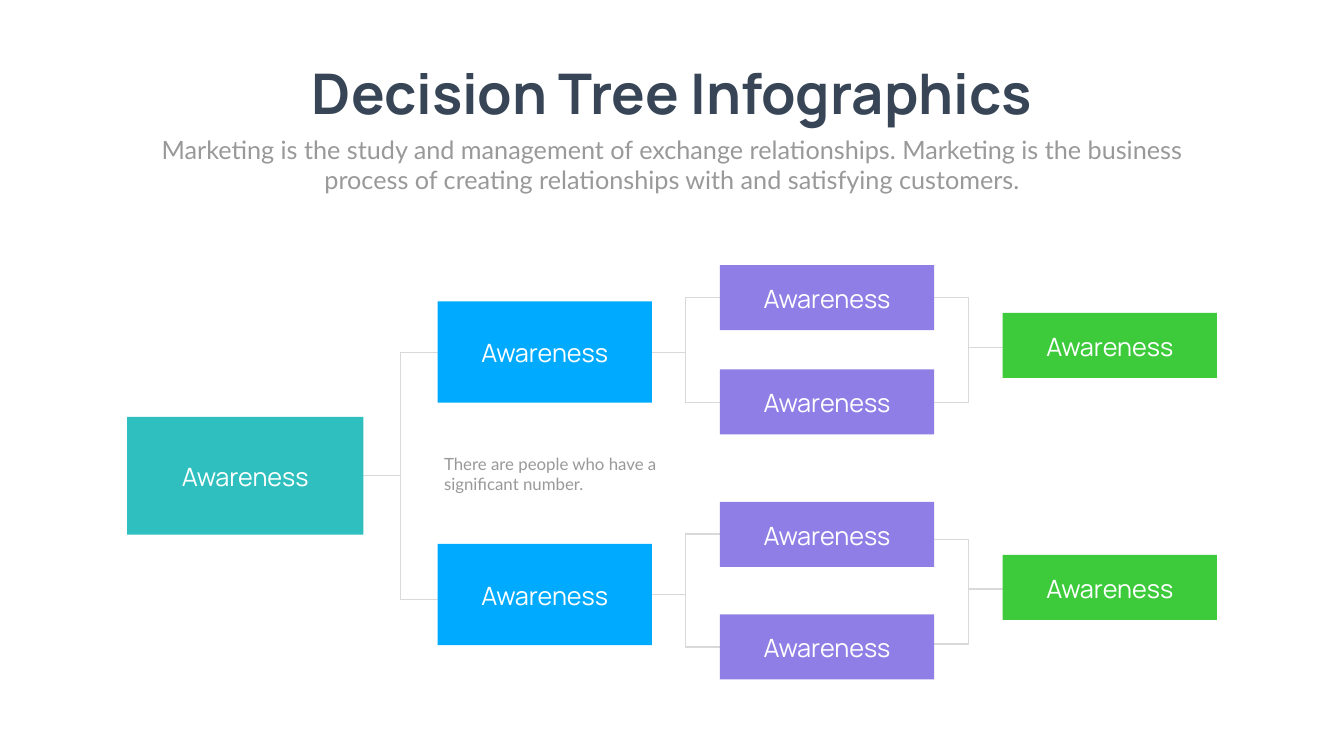
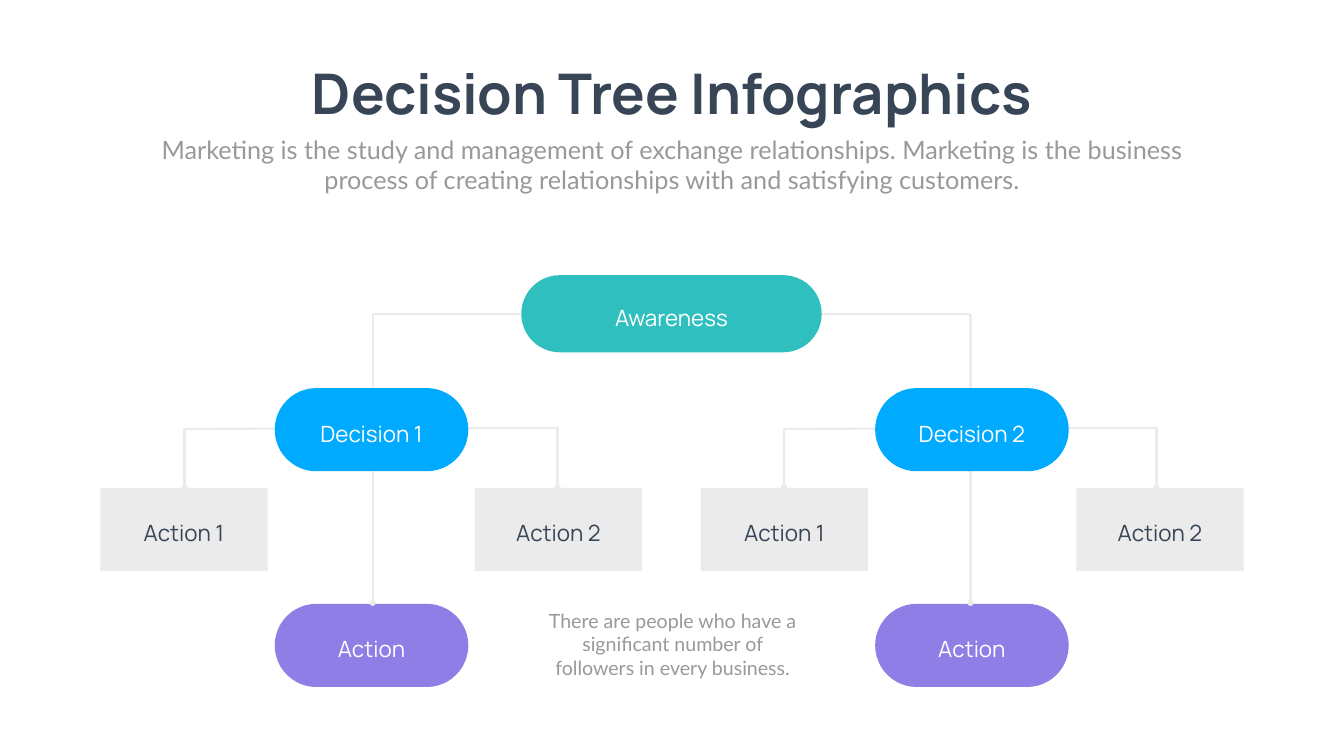
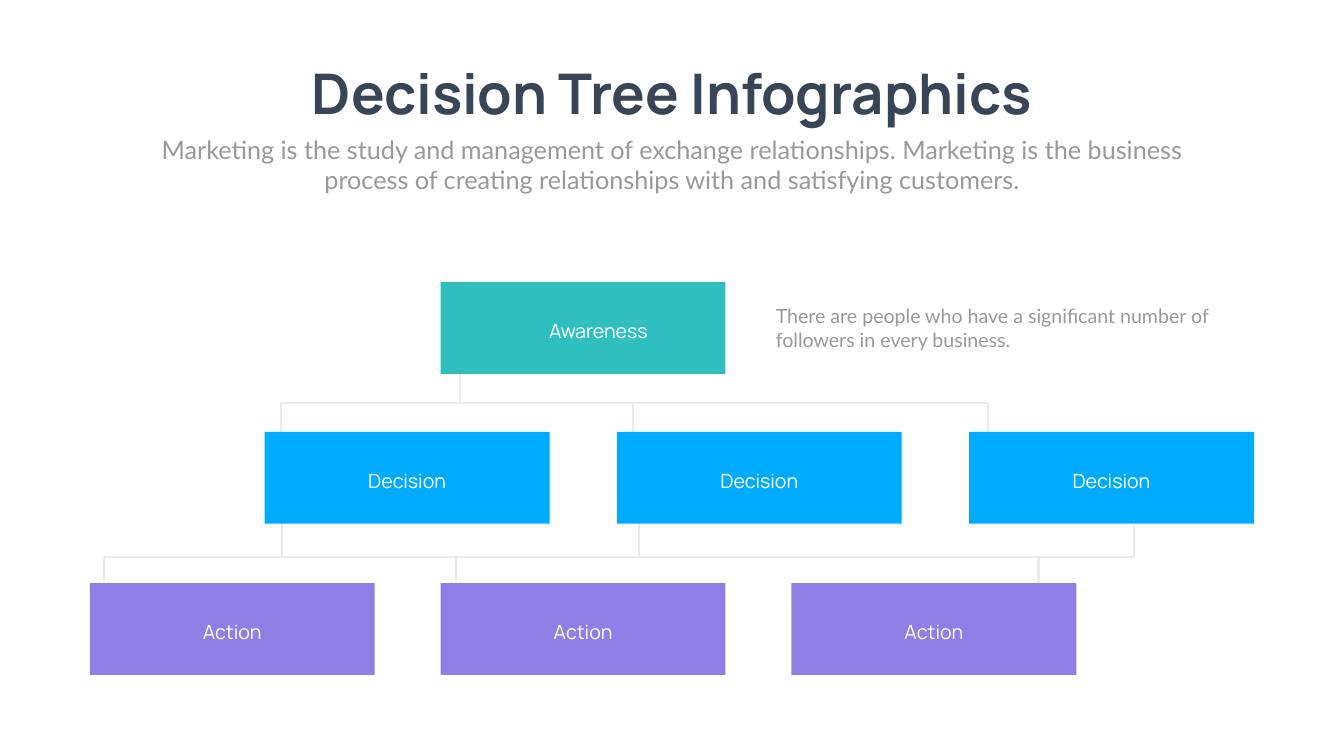
from lxml import etree
from pptx import Presentation
from pptx import util as u
from pptx.dml.color import RGBColor
from pptx.enum import shapes, text
from pptx.oxml import ns

PAPER = RGBColor(0xFE, 0xFF, 0xFE)
WHITE = RGBColor(0xFF, 0xFF, 0xFF)
NAVY = RGBColor(0x37, 0x45, 0x56)
GREY = RGBColor(0x99, 0x99, 0x99)
SILVER = RGBColor(0xD9, 0xD9, 0xD9)
MIST = RGBColor(0xEB, 0xEB, 0xEB)
TEAL = RGBColor(0x2F, 0xBF, 0xBF)
BLUE = RGBColor(0x00, 0xAA, 0xFE)
PURPLE = RGBColor(0x8E, 0x7E, 0xE5)
GREEN = RGBColor(0x3D, 0xCB, 0x3C)

HEADING, BODY = "Manrope", "Lato"
LEFT, CENTER = text.PP_ALIGN.LEFT, text.PP_ALIGN.CENTER
TOP, MIDDLE = text.MSO_ANCHOR.TOP, text.MSO_ANCHOR.MIDDLE

# Content shared by all slides
TITLE = "Decision Tree Infographics"
SUBTITLE = ("Marketing is the study and management of exchange relationships. "
            "Marketing is the business process of creating relationships with "
            "and satisfying customers.")
LONG_NOTE = "There are people who have a significant number of followers in every business."


def level(fill, size, places, corner=0, color=WHITE, shift=0):
    """Boxes of one look; places holds (label, left, top)."""
    return dict(fill=fill, size=size, places=places, corner=corner,
                color=color, shift=shift)


def fork(start_x, start_y, end_x, *end_ys):
    return [(start_x, start_y, end_x, end_y) for end_y in end_ys]


def drops(top, bottom, *xs):
    return [(x, top, x, bottom) for x in xs]


# Each tree: levels behind the lines, lines, levels in front, side note.
# label_drop is how far labels sit below the middle of their boxes.
SIDEWAYS_TREE = dict(
    label_size=36, label_drop=1, line_color=SILVER, line_width=2,
    elbows=(fork(519.1, 679.7, 625, 503.3, 856.1)
            + fork(930.2, 503.3, 1028.2, 424.8, 574.6)
            + fork(930.2, 849.6, 1028.2, 763.2, 924.5)
            + fork(1432.1, 496.1, 1334.2, 424.8, 574.6)
            + fork(1432.1, 841.7, 1334.2, 770.4, 920.2)),
    front=[
        level(TEAL, (337.7, 168.5), [("Awareness", 181.4, 595.4)], None),
        level(BLUE, (306, 144.7),
              [("Awareness", 625, y) for y in (430.6, 776.9)], None),
        level(PURPLE, (306, 92.9),
              [("Awareness", 1028.2, y) for y in (378.7, 527.8, 717.1, 877.7)], None),
        level(GREEN, (306, 92.9),
              [("Awareness", 1432.1, y) for y in (447.1, 792.7)], None),
    ],
    note=("There are people who have a significant number.",
          (627.1, 644.4, 337.7, 65.5), 24, LEFT),
)

PILL = (276.5, 118.8)
BRANCH_XS = (392.4, 1249.9)
PILL_TREE = dict(
    label_size=32, label_drop=5, line_color=MIST, line_width=3,
    back=[
        level(MIST, (239, 118.8),
              [("Action 1", 143.3, 697), ("Action 2", 678.2, 697),
               ("Action 1", 1000.8, 697), ("Action 2", 1537.2, 697)], color=NAVY),
        level(PURPLE, PILL, [("Action", x, 862.6) for x in BRANCH_XS], 0.5),
    ],
    lines=[(262.8, 612.7, 797.8, 611.3), (1118.9, 612.7, 1653.8, 611.3),
           (532.1, 448.6, 1386, 448.6)],
    dotted=(drops(612, 697, 263.5, 796.3, 1119.6, 1651.7)
            + drops(448.6, 861.1, 532.1, 1386)),
    front=[
        level(TEAL, (429.1, 110.2), [("Awareness", 744.5, 393.1)], 0.5),
        level(BLUE, PILL, [(f"Decision {number}", x, 554.4)
                           for number, x in enumerate(BRANCH_XS, 1)], 0.5),
    ],
    note=(LONG_NOTE, (769, 866.2, 383, 98.6), 28, CENTER),
)

CARD = (406.8, 131)
CARD_TREE = dict(
    label_size=28, label_drop=4, line_color=MIST, line_width=3,
    lines=([(401.8, 576, 1410.5, 576), (149, 796.3, 1620, 796.3)]
           + drops(506.9, 575.3, 656.6)
           + drops(725, 796.3, 403.2, 912.2)
           + drops(750, 796.3, 1620)
           + drops(796.3, 871.9, 148.3, 651.6, 1483.2)),
    dotted=drops(575.3, 632.9, 401.8, 904.3, 1410.5),
    front=[
        level(TEAL, CARD, [("Awareness", 629.3, 403.2)], shift=22),
        level(PURPLE, CARD, [("Action", 128.2 + 501.1 * i, 833) for i in range(3)]),
        level(BLUE, CARD, [("Decision", 378 + 503 * i, 617) for i in range(3)]),
    ],
    note=(LONG_NOTE, (1100.9, 431.3, 656.6, 74.9), 28, LEFT),
)


def points(values):
    return [u.Pt(value) for value in values]


def write(shape, words, size, color, font=HEADING, bold=False, align=CENTER,
          anchor=TOP, margins=(7.2, 3.6, 7.2, 3.6)):
    """Fill a shape with one formatted paragraph; margins: left, top, right, bottom."""
    frame = shape.text_frame
    frame.word_wrap = True
    frame.auto_size = text.MSO_AUTO_SIZE.NONE
    frame.vertical_anchor = anchor
    (frame.margin_left, frame.margin_top,
     frame.margin_right, frame.margin_bottom) = points(margins)
    paragraph = frame.paragraphs[0]
    paragraph.alignment = align
    paragraph.space_before = u.Pt(0)
    run = paragraph.add_run()
    run.text = words
    run.font.name, run.font.size, run.font.bold = font, u.Pt(size), bold
    run.font.color.rgb = color


def place(shape, *box):
    shape.left, shape.top, shape.width, shape.height = points(box)


def add_heading(slide):
    title, subtitle = slide.shapes.title, slide.placeholders[1]
    place(title, 401.8, 80.6, 1116.7, 104.4)
    write(title, TITLE, 80, NAVY, bold=True)
    place(subtitle, 210.2, 187.9, 1499, 94.3)
    write(subtitle, SUBTITLE, 36, GREY, font=BODY)


def add_line(slide, kind, ends, color, width, dot=False):
    connector = slide.shapes.add_connector(kind, *points(ends))
    connector.line.color.rgb = color
    connector.line.width = u.Pt(width)
    if dot:
        etree.SubElement(connector.line._get_or_add_ln(), ns.qn("a:tailEnd"), type="oval")
    etree.SubElement(connector._element.spPr, ns.qn("a:effectLst"))


def add_level(slide, boxes, size, drop):
    rounded = boxes["corner"] is not None
    kind = (shapes.MSO_SHAPE.ROUNDED_RECTANGLE if rounded
            else shapes.MSO_SHAPE.RECTANGLE)
    for label, left, top in boxes["places"]:
        box = slide.shapes.add_shape(kind, *points((left, top, *boxes["size"])))
        if rounded:
            box.adjustments[0] = boxes["corner"]
        box.shadow.inherit = False
        box.fill.solid()
        box.fill.fore_color.rgb = boxes["fill"]
        box.line.fill.background()
        write(box, label, size, boxes["color"], anchor=MIDDLE,
              margins=(2 * boxes["shift"], 2 * drop, 0, 0))


def add_tree(slide, tree):
    label = tree["label_size"], tree["label_drop"]
    stroke = tree["line_color"], tree["line_width"]
    straight, elbow = shapes.MSO_CONNECTOR.STRAIGHT, shapes.MSO_CONNECTOR.ELBOW

    for boxes in tree.get("back", []):
        add_level(slide, boxes, *label)
    for name, kind in (("elbows", elbow), ("lines", straight), ("dotted", straight)):
        for ends in tree.get(name, []):
            add_line(slide, kind, ends, *stroke, dot=name == "dotted")
    for boxes in tree["front"]:
        add_level(slide, boxes, *label)

    words, box, size, align = tree["note"]
    note = slide.shapes.add_textbox(*points(box))
    write(note, words, size, GREY, font=BODY, align=align)


def main():
    presentation = Presentation()
    presentation.slide_width, presentation.slide_height = points((1919.52, 1080))
    background = presentation.slide_master.background.fill
    background.solid()
    background.fore_color.rgb = PAPER
    for tree in (SIDEWAYS_TREE, PILL_TREE, CARD_TREE):
        slide = presentation.slides.add_slide(presentation.slide_layouts[0])
        add_heading(slide)
        add_tree(slide, tree)
    presentation.save("out.pptx")


if __name__ == "__main__":
    main()
